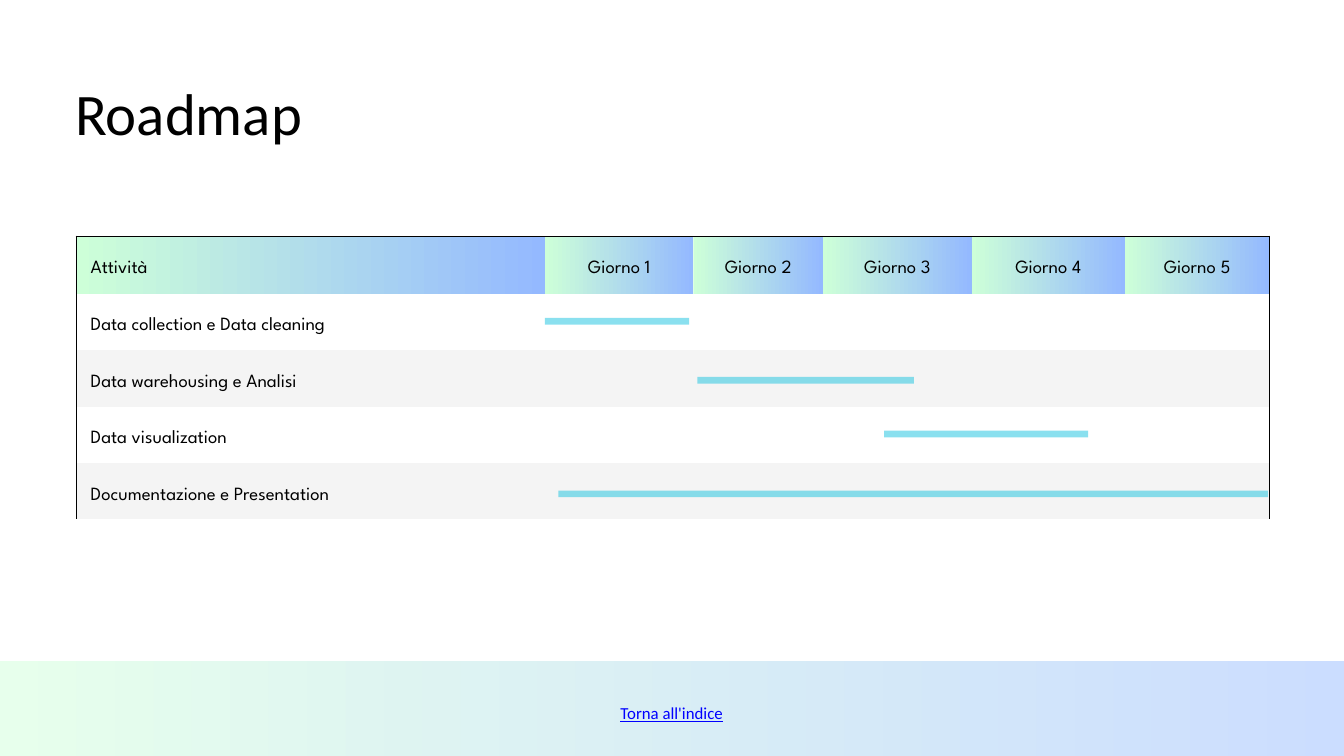
from dataclasses import dataclass
from itertools import accumulate

from lxml.etree import SubElement
from pptx import Presentation
from pptx.dml.color import RGBColor
from pptx.enum.shapes import MSO_SHAPE
from pptx.enum.text import MSO_ANCHOR, PP_ALIGN
from pptx.oxml import parse_xml
from pptx.oxml.ns import nsdecls, qn
from pptx.util import Inches, Pt


@dataclass(frozen=True)
class Theme:
    heading_font: str = "Calibri"
    table_font: str = "League Spartan"
    ink: str = "000000"
    link: str = "0000FF"
    gradient: tuple = ("CDFFD8", "94B9FF")
    bar: str = "0CC0DF"
    stripes: tuple = ("FFFFFF", "F4F4F4")
    opacity: int = 48
    title_size: float = 63
    table_size: float = 20
    link_size: float = 18
    line_ratio: float = 1.4
    border: float = 0.75


THEME = Theme()
SLIDE = (20, 11.25)
TITLE = "Roadmap"
LINK = "Torna all'indice"
HEADER = ["Attività"] + [f"Giorno {day}" for day in range(1, 6)]
# activity, start and end in days, shift of the bar from the row's middle
ACTIVITIES = [
    ("Data collection e Data cleaning", 0, 0.97, -0.01),
    ("Data warehousing e Analisi", 1.03, 2.61, 0.03),
    ("Data visualization", 2.41, 3.76, -0.01),
    ("Documentazione e Presentation", 0.09, 4.99, 0.04),
]

TABLE_LEFT, TABLE_TOP = 1.13, 3.51
COLUMNS = [6.98, 2.21, 1.93, 2.21, 2.28, 2.15]
ROWS = [0.86] + [0.84] * len(ACTIVITIES)
CELL_MARGIN = 0.22
BAR_HEIGHT = 0.1
FOOTER = (0, 9.84, SLIDE[0], 1.5)

column_edges = list(accumulate(COLUMNS, initial=TABLE_LEFT))
row_edges = list(accumulate(ROWS, initial=TABLE_TOP))


def write(frame, text, *, size, font, color=THEME.ink, align=PP_ALIGN.LEFT,
          underline=None, margin=0, ratio=THEME.line_ratio):
    frame.word_wrap = True
    frame.margin_left = frame.margin_right = Inches(margin)
    frame.margin_top = frame.margin_bottom = Inches(margin)
    para = frame.paragraphs[0]
    para.alignment = align
    para.line_spacing = Pt(size * ratio)
    span = para.add_run()
    span.text = text
    span.font.size = Pt(size)
    span.font.name = font
    span.font.underline = underline
    span.font.color.rgb = RGBColor.from_string(color)


def add_text(page, place, text, **style):
    box = page.shapes.add_textbox(*map(Inches, place))
    write(box.text_frame, text, **style)


def fill_solid(fill, color):
    fill.solid()
    fill.fore_color.rgb = RGBColor.from_string(color)


def fill_gradient(fill):
    fill.gradient()
    fill.gradient_angle = 0
    for stop, color in zip(fill.gradient_stops, THEME.gradient):
        stop.color.rgb = RGBColor.from_string(color)


def add_band(page, place, paint, *args):
    """Add a translucent rectangle without outline."""
    band = page.shapes.add_shape(MSO_SHAPE.RECTANGLE, *map(Inches, place))
    band.shadow.inherit = False
    band.line.fill.background()
    paint(band.fill, *args)
    for color in band._element.spPr.iter(qn("a:srgbClr")):
        SubElement(color, qn("a:alpha"), val=str(THEME.opacity * 1000))


def set_borders(cell, **shown):
    """Draw only the sides given as true; sides must come before the fill."""
    properties = cell._tc.get_or_add_tcPr()
    for index, side in enumerate("LRTB"):
        visible = shown.get(side)
        paint = (f'<a:solidFill><a:srgbClr val="{THEME.ink}"/></a:solidFill>'
                 if visible else "<a:noFill/>")
        width = Pt(THEME.border) if visible else 0
        properties.insert(index, parse_xml(
            f'<a:ln{side} {nsdecls("a")} w="{width}">{paint}</a:ln{side}>'))


def add_roadmap(page):
    table = page.shapes.add_table(
        len(ROWS), len(COLUMNS), Inches(TABLE_LEFT), Inches(TABLE_TOP),
        Inches(sum(COLUMNS)), Inches(sum(ROWS))).table
    table.first_row = table.horz_banding = False
    for column, width in zip(table.columns, COLUMNS):
        column.width = Inches(width)
    for row, height in zip(table.rows, ROWS):
        row.height = Inches(height)

    texts = [HEADER] + [[activity[0]] for activity in ACTIVITIES]
    last = len(COLUMNS) - 1
    for r in range(len(ROWS)):
        for c in range(len(COLUMNS)):
            cell = table.cell(r, c)
            if r == 0:
                fill_gradient(cell.fill)
            else:
                fill_solid(cell.fill, THEME.stripes[(r - 1) % 2])
            if c < len(texts[r]):
                write(cell.text_frame, texts[r][c], size=THEME.table_size,
                      font=THEME.table_font,
                      align=PP_ALIGN.CENTER if c else PP_ALIGN.LEFT)
                cell.vertical_anchor = MSO_ANCHOR.MIDDLE
                cell.margin_left = cell.margin_right = Inches(CELL_MARGIN)
                cell.margin_top = cell.margin_bottom = Inches(CELL_MARGIN)
            set_borders(cell, L=c == 0, R=c == last, T=r == 0)


def day_x(day):
    """Horizontal place of a moment counted in days from the first one."""
    column = int(day) + 1
    return column_edges[column] + day % 1 * COLUMNS[column]


def add_bars(page):
    for row, (_, start, end, shift) in enumerate(ACTIVITIES, 1):
        middle = row_edges[row] + ROWS[row] / 2 + shift
        left = day_x(start)
        place = (left, middle - BAR_HEIGHT / 2, day_x(end) - left, BAR_HEIGHT)
        add_band(page, place, fill_solid, THEME.bar)


def main():
    deck = Presentation()
    deck.slide_width, deck.slide_height = map(Inches, SLIDE)
    page = deck.slides.add_slide(deck.slide_layouts[6])
    add_text(page, (1.12, 1.06, 9.43, 1.11), TITLE, size=THEME.title_size,
             font=THEME.heading_font, ratio=1.3)
    add_roadmap(page)
    add_bars(page)
    add_band(page, FOOTER, fill_gradient)
    add_text(page, (8.3, 10.41, 3.39, 0.33), LINK, size=THEME.link_size,
             font=THEME.heading_font, color=THEME.link,
             align=PP_ALIGN.CENTER, underline=True)
    deck.save("out.pptx")


if __name__ == "__main__":
    main()
